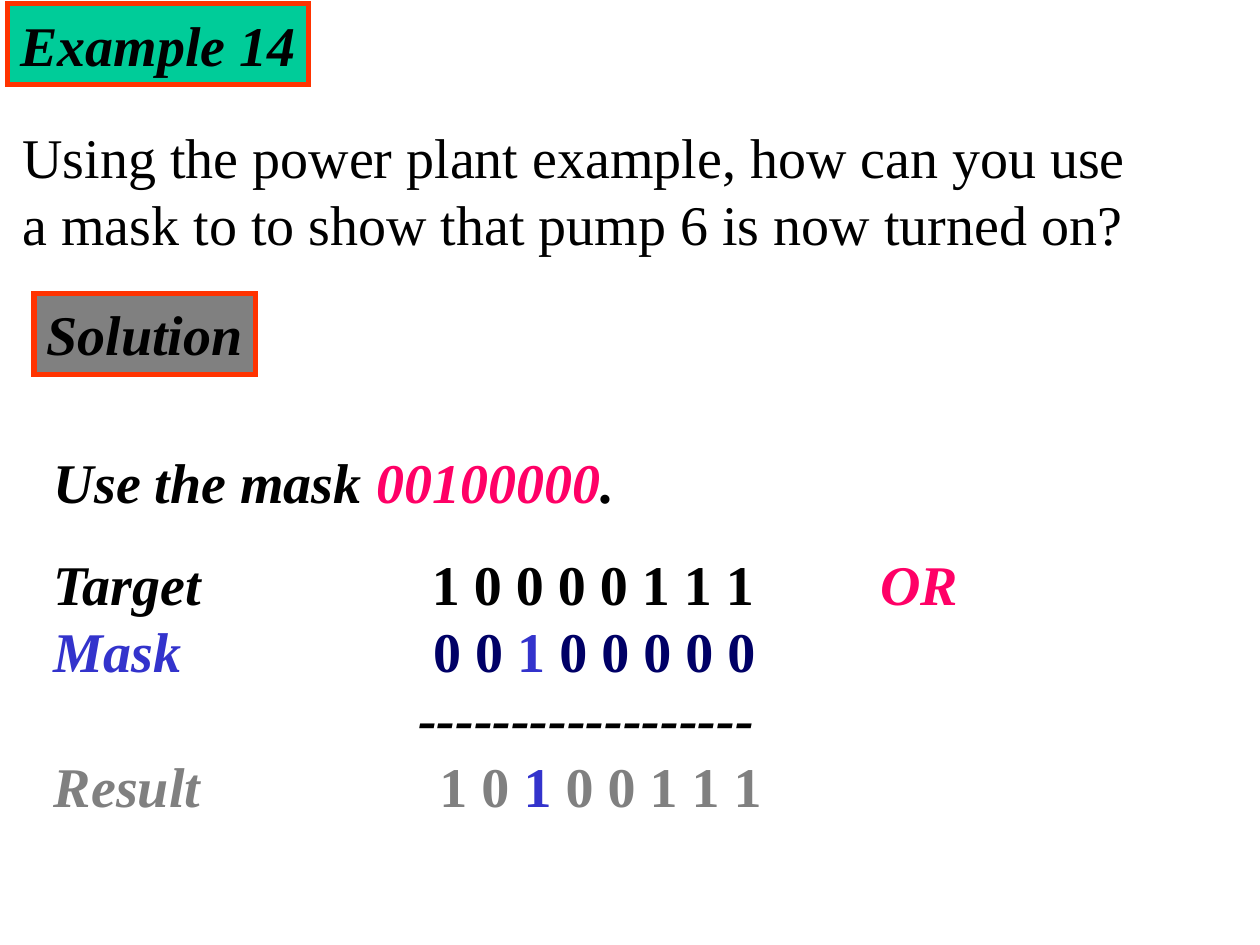
"""Build the Example 14 slide: setting a bit with an OR mask."""
from lxml.etree import SubElement
from pptx import Presentation
from pptx.dml.color import RGBColor
from pptx.enum.shapes import MSO_SHAPE as SHAPE
from pptx.enum.text import MSO_ANCHOR as ANCHOR, MSO_AUTO_SIZE as AUTO, PP_ALIGN as ALIGN
from pptx.oxml.ns import qn
from pptx.util import Inches, Pt

FONT, SIZE = "Times New Roman", 32
BLACK, PINK, BLUE, NAVY, GRAY = "000000", "FF0066", "3333CC", "000066", "808080"
GREEN, ORANGE = "00CC99", "FF3300"

HEADING = "Example 14"
QUESTION = ("Using the power plant example, how can you use a mask "
            "to to show that pump 6 is now turned on?")
SOLUTION = "Solution"
ANSWER = [
    dict(runs=[("Use the mask ", BLACK, True), ("00100000", PINK, True), (".", BLACK, True)]),
    dict(before=20, stops=(3, 6.56),
         runs=[("Target\t", BLACK, True), ("1 0 0 0 0 1 1 1\t", BLACK, False),
               ("OR", PINK, True)]),
    dict(stops=(3.01,),
         runs=[("Mask\t", BLUE, True), ("0 0 ", NAVY, False), ("1", BLUE, False),
               (" 0 0 0 0 0", NAVY, False)]),
    dict(stops=(2.89,), runs=[("\t------------------", BLACK, True)]),
    dict(stops=(3.06,),
         runs=[("Result\t", GRAY, True), ("1 0 ", GRAY, False), ("1", BLUE, False),
               (" 0 0 1 1 1", GRAY, False)]),
]


def color(value):
    return RGBColor.from_string(value)


def place(sp, left, top, width, height, wrap=True):
    sp.left, sp.top, sp.width, sp.height = map(Inches, (left, top, width, height))
    tf = sp.text_frame
    tf.word_wrap = wrap
    tf.auto_size = AUTO.NONE
    tf.vertical_anchor = ANCHOR.TOP
    tf.margin_left = tf.margin_right = Inches(0.1)
    tf.margin_top = tf.margin_bottom = Inches(0.05)
    return tf


def add_run(p, text, fill=BLACK, bold=True, italic=True):
    p.alignment = ALIGN.LEFT
    r = p.add_run()
    r.text = text
    r.font.name, r.font.size = FONT, Pt(SIZE)
    r.font.bold, r.font.italic = bold, italic
    r.font.color.rgb = color(fill)


def set_tabs(p, stops):
    tabs = SubElement(p._p.get_or_add_pPr(), qn("a:tabLst"))
    for stop in stops:
        SubElement(tabs, qn("a:tab"), pos=str(Inches(stop)), algn="l")


def add_line(p, runs, before=0, stops=()):
    if before:
        p.space_before = Pt(before)
    if stops:
        set_tabs(p, stops)
    for text, fill, italic in runs:
        add_run(p, text, fill, italic=italic)


def label(sp, text, fill, *box):
    sp.fill.solid()
    sp.fill.fore_color.rgb = color(fill)
    sp.line.color.rgb = color(ORANGE)
    sp.line.width = Pt(3)
    SubElement(sp._element.spPr.find(qn("a:ln")), qn("a:miter"), lim="800000")
    add_run(place(sp, *box, wrap=False).paragraphs[0], text)


def main():
    prs = Presentation()
    prs.slide_width, prs.slide_height = Inches(10), Inches(7.5)
    s = prs.slides.add_slide(prs.slide_layouts[5])
    label(s.shapes.title, HEADING, GREEN, 0.06, 0.03, 2.39, 0.64)

    tf = place(s.shapes.add_textbox(0, 0, 0, 0), 0.08, 0.92, 9.25, 1.17)
    add_run(tf.paragraphs[0], QUESTION, bold=False, italic=False)

    sp = s.shapes.add_shape(SHAPE.RECTANGLE, 0, 0, 0, 0)
    sp.shadow.inherit = False
    label(sp, SOLUTION, GRAY, 0.27, 2.33, 1.76, 0.64)

    tf = place(s.shapes.add_textbox(0, 0, 0, 0), 0.33, 3.5, 9.17, 3.05)
    for i, line in enumerate(ANSWER):
        add_line(tf.add_paragraph() if i else tf.paragraphs[0], **line)
    prs.save("out.pptx")


if __name__ == "__main__":
    main()
